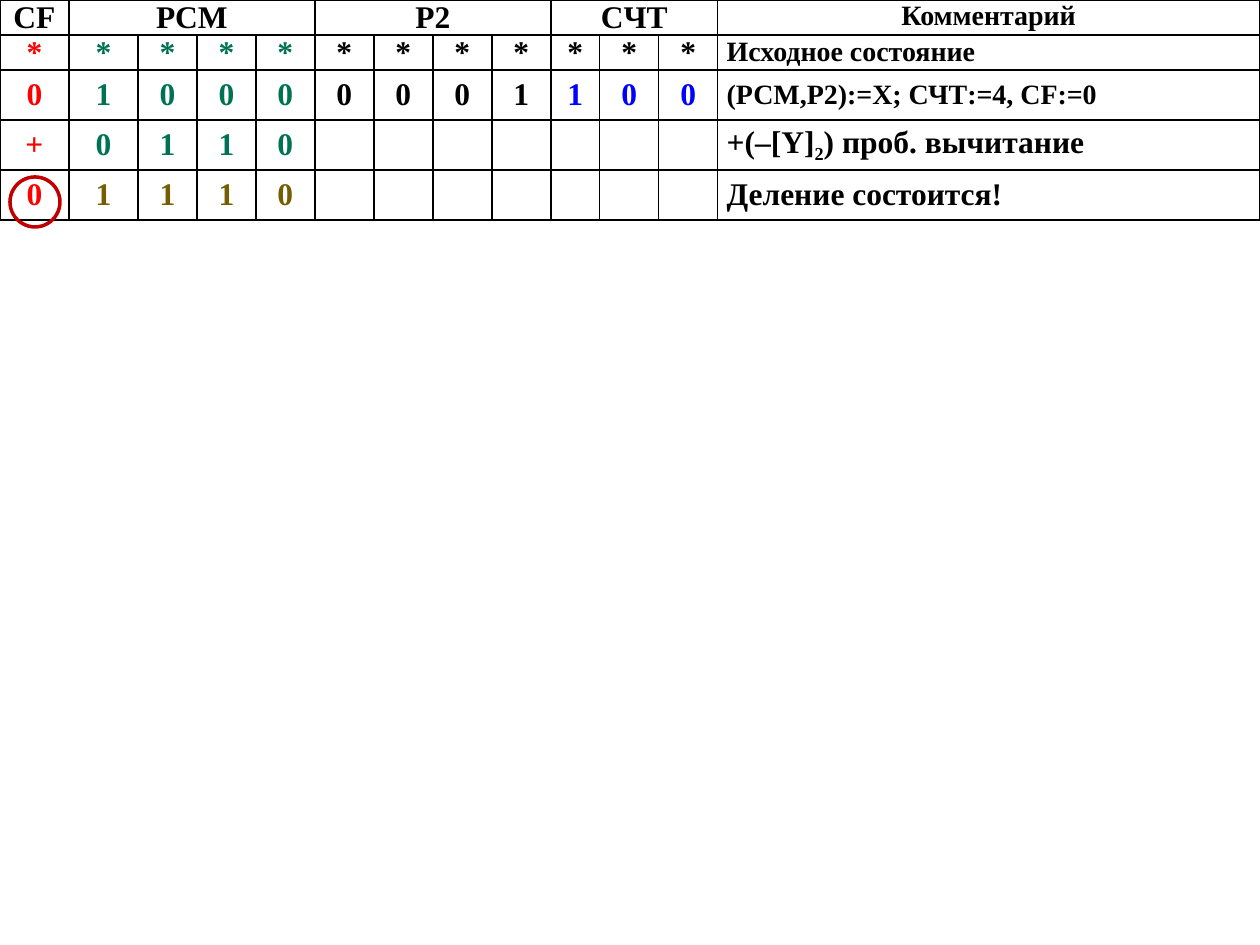
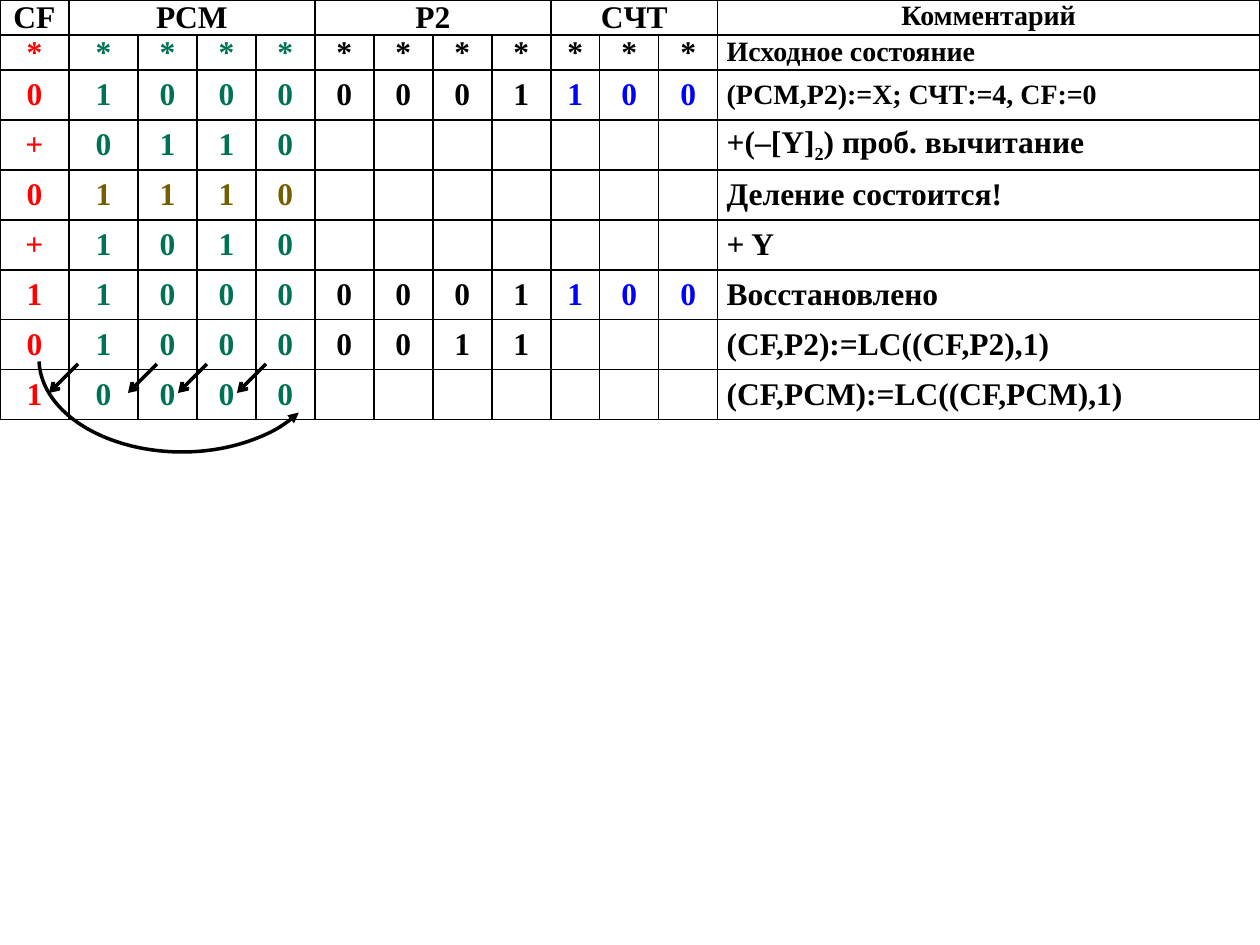
"""Builds two slides tracing binary division register by register."""
from lxml.etree import SubElement
from pptx import Presentation
from pptx.dml.color import RGBColor
from pptx.enum.shapes import MSO_CONNECTOR, MSO_SHAPE
from pptx.enum.text import MSO_ANCHOR, PP_ALIGN
from pptx.oxml.ns import qn
from pptx.util import Emu, Pt

FONT = "Times New Roman"
BLACK, RED, GREEN, OLIVE, BLUE, DARK_RED = (
    "000000", "FF0000", "007254", "745E00", "0000FF", "C00000")

REGISTERS = [("CF", 1), ("PCM", 4), ("P2", 4), ("CЧТ", 3)]
COMMENT_HEADING = "Комментарий"
COLUMN_WIDTHS = [69, 69] + [59] * 7 + [49, 59, 59, 542]
SHORT_ROW, TALL_ROW = 35, 50
SHORT_ROWS = 2

PLAIN = (RED, GREEN, BLACK, BLUE)
INITIAL = (RED, GREEN, BLACK, BLACK)
TRIAL = (RED, OLIVE, BLACK, BLUE)

FIRST_STEPS = [
    (("*", "****", "****", "***"), INITIAL, 16, ["Исходное состояние"]),
    (("0", "1000", "0001", "100"), PLAIN, 16, ["(РСМ,Р2):=Х; СЧТ:=4, CF:=0"]),
    (("+", "0110", "", ""), PLAIN, 18, ["+(–[Y]", "2", ") проб. вычитание"]),
    (("0", "1110", "", ""), TRIAL, 18, ["Деление состоится!"]),
]
RESTORE_STEPS = [
    (("+", "1010", "", ""), PLAIN, 18, ["+ Y"]),
    (("1", "1000", "0001", "100"), PLAIN, 18, ["Восстановлено"]),
    (("0", "1000", "0011", ""), PLAIN, 18, ["(CF,P2):=LC((CF,P2),1)"]),
    (("1", "0000", "", ""), PLAIN, 18, ["(CF,PСМ):=LC((CF,PСМ),1)"]),
]

CARRY_RING = (10, 177, 50, 50)
SHIFT_STARTS, SHIFT_TOP, SHIFT_LENGTH = [266, 207, 157, 78], 364, 29
CARRY_ARC, CARRY_ANGLES = (39, 266, 286, 186), (14.8, 107.4)


def px(length):
    return Emu(round(length * 914400 / 126))


def rgb(code):
    return RGBColor.from_string(code)


def set_borders(cell):
    properties = cell._tc.get_or_add_tcPr()
    for index, side in enumerate(("lnL", "lnR", "lnT", "lnB")):
        border = properties.makeelement(qn(f"a:{side}"), {"w": str(Pt(1))})
        fill = SubElement(border, qn("a:solidFill"))
        SubElement(fill, qn("a:srgbClr"), val=BLACK)
        properties.insert(index, border)


def write(cell, texts, size=18, color=BLACK, align=PP_ALIGN.CENTER):
    """Adds bold runs to a cell; every second run is a subscript."""
    paragraph = cell.text_frame.paragraphs[0]
    paragraph.alignment = align
    paragraph.space_after = Pt(1)
    for index, text in enumerate(texts):
        run = paragraph.add_run()
        run.text = text
        run.font.name, run.font.size, run.font.bold = FONT, Pt(size), True
        run.font.color.rgb = rgb(color)
        if index % 2:
            run.font._element.set("baseline", "-25000")


def add_trace(slide, steps):
    heights = [SHORT_ROW] * SHORT_ROWS + [TALL_ROW] * (len(steps) + 1 - SHORT_ROWS)
    trace = slide.shapes.add_table(len(heights), len(COLUMN_WIDTHS), 0, 0,
                                   px(sum(COLUMN_WIDTHS)), px(sum(heights))).table
    trace.first_row = trace.horz_banding = False
    for column, width in zip(trace.columns, COLUMN_WIDTHS):
        column.width = px(width)
    for number, (row, height) in enumerate(zip(trace.rows, heights)):
        row.height = px(height)
        for cell in row.cells:
            cell.margin_left = cell.margin_right = px(9)
            cell.margin_top = cell.margin_bottom = 0
            cell.vertical_anchor = MSO_ANCHOR.MIDDLE if number else MSO_ANCHOR.TOP
            cell.fill.background()
            set_borders(cell)

    first = 0
    for index, (register, bits) in enumerate(REGISTERS):
        heading = trace.cell(0, first)
        if bits > 1:
            heading.merge(trace.cell(0, first + bits - 1))
        write(heading, [register])
        for number, (values, colors, _, _) in enumerate(steps, 1):
            for offset, digit in enumerate(values[index]):
                write(trace.cell(number, first + offset), [digit], color=colors[index])
        first += bits
    write(trace.cell(0, first), [COMMENT_HEADING], 16)
    for number, (_, _, size, comment) in enumerate(steps, 1):
        write(trace.cell(number, first), comment, size, align=PP_ALIGN.LEFT)


def set_line(item, color, end=None, arrowhead=None):
    item.line.color.rgb = rgb(color)
    item.line.width = Pt(2)
    if end:
        SubElement(item.line._get_or_add_ln(), qn(f"a:{end}"), type=arrowhead)


def add_outline(slide, preset, box, color):
    outline = slide.shapes.add_shape(preset, *map(px, box))
    outline.shadow.inherit = False
    outline.fill.background()
    set_line(outline, color)
    return outline


def add_shift_arrows(slide):
    for start in SHIFT_STARTS:
        shift = slide.shapes.add_connector(
            MSO_CONNECTOR.STRAIGHT, px(start), px(SHIFT_TOP),
            px(start - SHIFT_LENGTH), px(SHIFT_TOP + SHIFT_LENGTH))
        set_line(shift, BLACK, "tailEnd", "arrow")
        SubElement(shift._element.spPr, qn("a:effectLst"))
    carry = add_outline(slide, MSO_SHAPE.ARC, CARRY_ARC, BLACK)
    carry.adjustments[0], carry.adjustments[1] = CARRY_ANGLES
    set_line(carry, BLACK, "headEnd", "triangle")


def main():
    deck = Presentation()
    deck.slide_width, deck.slide_height = px(1260), px(945)
    blank = deck.slide_layouts[6]

    trial = deck.slides.add_slide(blank)
    add_trace(trial, FIRST_STEPS)
    add_outline(trial, MSO_SHAPE.OVAL, CARRY_RING, DARK_RED)

    restore = deck.slides.add_slide(blank)
    add_trace(restore, FIRST_STEPS + RESTORE_STEPS)
    add_shift_arrows(restore)

    deck.save("out.pptx")


if __name__ == "__main__":
    main()
